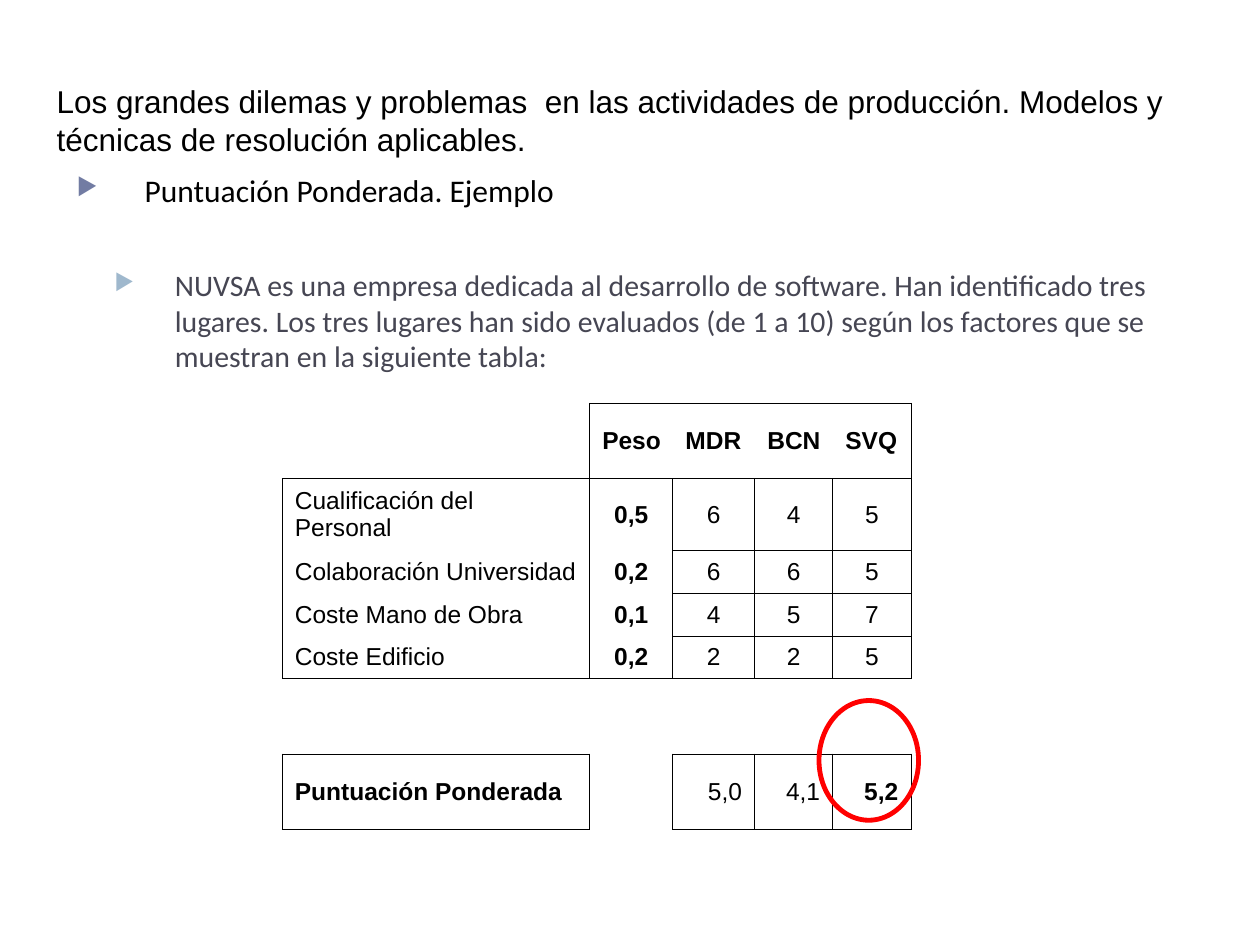
"""Build the weighted scoring example slide."""
from dataclasses import dataclass

from lxml import etree
from pptx import Presentation
from pptx.dml.color import RGBColor
from pptx.enum import shapes, text
from pptx.oxml import ns
from pptx.util import Inches, Pt

BLACK = "000000"
PLAIN = "{2D5ABB26-0587-4C30-8999-92F81FD0307C}"
LEFT, MID, RIGHT = text.PP_ALIGN.LEFT, text.PP_ALIGN.CENTER, text.PP_ALIGN.RIGHT


@dataclass
class Point:
    words: str
    size: float
    color: str
    mark: str
    left: float
    hang: float
    before: float


@dataclass
class Box:
    top: int
    left: int
    bottom: int
    right: int


POINTS = [
    Point("Puntuación Ponderada. Ejemplo", 18, BLACK, "727CA3", 0.54, 0.54, 0),
    Point("NUVSA es una empresa dedicada al desarrollo de software. Han identificado "
          "tres lugares. Los tres lugares han sido evaluados (de 1 a 10) según los "
          "factores que se muestran en la siguiente tabla:",
          17, "464653", "9FB8CD", 0.78, 0.48, 33),
]
ROWS = [
    ["", "Peso", "MDR", "BCN", "SVQ"],
    ["Cualificación del Personal", "0,5", "6", "4", "5"],
    ["Colaboración Universidad", "0,2", "6", "6", "5"],
    ["Coste Mano de Obra", "0,1", "4", "5", "7"],
    ["Coste Edificio", "0,2", "2", "2", "5"],
    [""] * 5,
    ["Puntuación Ponderada", "", "5,0", "4,1", "5,2"],
]
WIDTHS = [2.44, 0.66, 0.65, 0.62, 0.62]
HEIGHTS = [0.6, 0.57, 0.34, 0.34, 0.33, 0.6, 0.6]
BOXES = [Box(0, 1, 0, 4), Box(1, 0, 4, 0), Box(1, 1, 4, 1), Box(6, 0, 6, 0)]
BOXES += [Box(r, c, r, c) for r in (1, 2, 3, 4, 6) for c in (2, 3, 4)]


def rgb(code: str) -> RGBColor:
    """Turn a hex string into a colour."""
    return RGBColor.from_string(code)


def style(para, size: float, face: str, color: str = BLACK, bold: bool = False) -> None:
    """Set the font of a paragraph."""
    font = para.font
    font.size, font.name, font.bold = Pt(size), face, bold
    font.color.rgb = rgb(color)


def add(node, tag: str, **attrs: str):
    """Append a drawing element and return it."""
    return etree.SubElement(node, ns.qn(tag), attrs)


def add_title(slide) -> None:
    """Fill and place the title."""
    title = slide.shapes.title
    title.left, title.top = Inches(0.35), Inches(0.6)
    title.width, title.height = Inches(9.21), Inches(0.7)
    frame = title.text_frame
    frame.text = ("Los grandes dilemas y problemas  en las actividades de producción. "
                  "Modelos y técnicas de resolución aplicables.")
    frame.auto_size = text.MSO_AUTO_SIZE.NONE
    frame.vertical_anchor = text.MSO_ANCHOR.TOP
    para = frame.paragraphs[0]
    para.alignment = LEFT
    style(para, 18, "Arial")


def add_points(slide) -> None:
    """Write the bulleted text."""
    box = slide.shapes.add_textbox(Inches(0.51), Inches(1.31), Inches(9), Inches(1.81))
    frame = box.text_frame
    frame.word_wrap = True
    for i, point in enumerate(POINTS):
        para = frame.add_paragraph() if i else frame.paragraphs[0]
        para.text, para.level = point.words, i
        props = para._p.get_or_add_pPr()
        props.set("marL", str(Inches(point.left)))
        props.set("indent", str(-Inches(point.hang)))
        add(add(props, "a:buClr"), "a:srgbClr", val=point.mark)
        add(props, "a:buSzPct", val="76000")
        add(props, "a:buChar", char="▶")
        para.space_before = Pt(point.before)
        style(para, point.size, "Calibri", point.color)


def find_edges() -> set:
    """List the ruled sides of each cell, seen from both neighbours."""
    edges = set()
    for box in BOXES:
        for c in range(box.left, box.right + 1):
            edges |= {(box.top, c, "T"), (box.top - 1, c, "B"),
                      (box.bottom, c, "B"), (box.bottom + 1, c, "T")}
        for r in range(box.top, box.bottom + 1):
            edges |= {(r, box.left, "L"), (r, box.left - 1, "R"),
                      (r, box.right, "R"), (r, box.right + 1, "L")}
    return edges


def rule(cell, sides: set[str]) -> None:
    """Draw thin lines on the given sides of a cell and clear the others."""
    props = cell._tc.get_or_add_tcPr()
    for i, side in enumerate("LRTB"):
        line = add(props, f"a:ln{side}", w=str(Pt(0.45)))
        if side in sides:
            add(add(line, "a:solidFill"), "a:srgbClr", val=BLACK)
        else:
            add(line, "a:noFill")
        props.insert(i, line)


def add_scores(slide) -> None:
    """Draw the score table."""
    frame = slide.shapes.add_table(
        len(ROWS), len(WIDTHS), Inches(2.24), Inches(3.2),
        Inches(sum(WIDTHS)), Inches(sum(HEIGHTS)))
    table = frame.table
    table.first_row = table.horz_banding = False
    table._tbl.tblPr.find(ns.qn("a:tableStyleId")).text = PLAIN
    for col, width in zip(table.columns, WIDTHS):
        col.width = Inches(width)
    edges, last = find_edges(), len(ROWS) - 1
    for r, row in enumerate(ROWS):
        table.rows[r].height = Inches(HEIGHTS[r])
        for c, words in enumerate(row):
            cell = table.cell(r, c)
            cell.text = words
            cell.vertical_anchor = text.MSO_ANCHOR.MIDDLE
            cell.margin_right = Inches(0.1 if r else 0.02)
            cell.fill.background()
            rule(cell, {s for s in "LRTB" if (r, c, s) in edges})
            para = cell.text_frame.paragraphs[0]
            para.alignment = LEFT if r == 0 or c == 0 else RIGHT if r == last else MID
            bold = r == 0 or c == 1 or (r == last and c in (0, 4))
            style(para, 14, "Arial", bold=bold)


def add_ring(slide) -> None:
    """Circle the winning score."""
    ring = slide.shapes.add_shape(shapes.MSO_SHAPE.OVAL, Inches(6.5), Inches(5.56),
                                  Inches(0.79), Inches(0.95))
    ring.shadow.inherit = False
    ring.fill.background()
    ring.line.color.rgb = rgb("FF0000")
    ring.line.width = Pt(2.75)


def main() -> None:
    """Build and save the slide."""
    deck = Presentation()
    deck.slide_width, deck.slide_height = Inches(10), Inches(7.5)
    slide = deck.slides.add_slide(deck.slide_layouts[5])
    add_title(slide)
    add_points(slide)
    add_scores(slide)
    add_ring(slide)
    deck.save("out.pptx")


if __name__ == "__main__":
    main()
